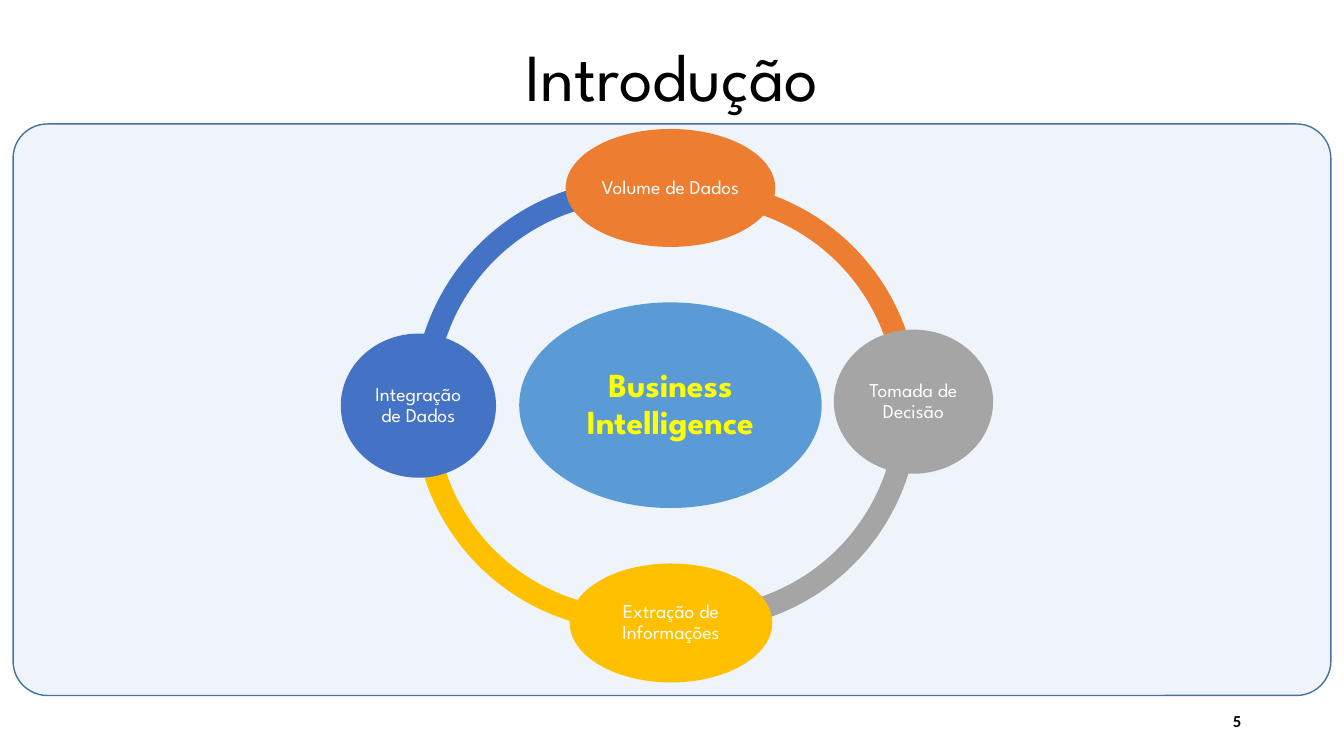
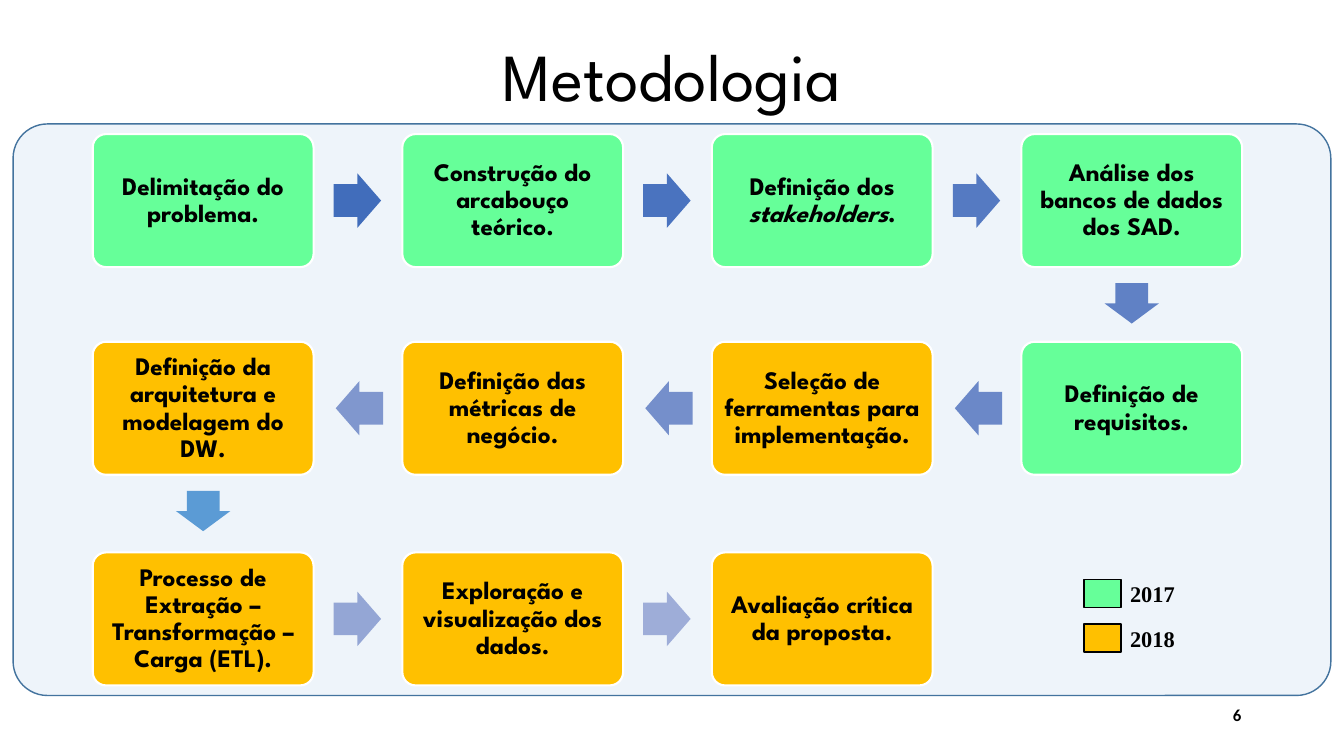
from lxml import etree
from pptx import Presentation
from pptx.dml.color import RGBColor
from pptx.enum.shapes import MSO_SHAPE as SHAPE
from pptx.enum.text import MSO_ANCHOR as ANCHOR, PP_ALIGN as ALIGN
from pptx.oxml.ns import qn
from pptx.util import Inches, Pt

FONT = "League Spartan"
BLACK, WHITE, YELLOW = "000000", "FFFFFF", "FFFF00"
SKY, BLUE, GOLD, GRAY, ORANGE = "5B9BD5", "4472C4", "FFC000", "A5A5A5", "ED7D31"
GREEN = "66FF99"
SLIDE_W, SLIDE_H = 13.33, 7.5

# Ring arcs: left, top, start degree, end degree, colour
ARC_SIZE, ARC_THICKNESS = 4.42, 0.05
ARCS = [
    (4.1, 1.78, 179.31, 279.06, BLUE),
    (4.1, 1.84, 80.94, 180.74, GOLD),
    (4.69, 1.83, 358.65, 96.65, GRAY),
    (4.69, 1.8, 263.36, 359.42, ORANGE),
]
HUB = ("Business Intelligence", (5.15, 3, 3, 2.04), SKY)
TOPICS = [
    ("Volume de Dados", (5.61, 1.28, 2.08, 1.17), ORANGE),
    ("Tomada de Decisão", (8.27, 3.27, 1.58, 1.43), GRAY),
    ("Extração de Informações", (5.65, 5.59, 2.01, 1.18), GOLD),
    ("Integração de Dados", (3.38, 3.31, 1.54, 1.43), BLUE),
]

# Asterisks enclose italic words
STEPS = [
    ("Delimitação do problema.", 2017),
    ("Construção do arcabouço teórico.", 2017),
    ("Definição dos *stakeholders*.", 2017),
    ("Análise dos bancos de dados dos SAD.", 2017),
    ("Definição de requisitos.", 2017),
    ("Seleção de ferramentas para implementação.", 2018),
    ("Definição das métricas de negócio.", 2018),
    ("Definição da arquitetura e modelagem do DW.", 2018),
    ("Processo de Extração – Transformação – Carga (ETL).", 2018),
    ("Exploração e visualização dos dados.", 2018),
    ("Avaliação crítica da proposta.", 2018),
]
ARROW_COLORS = ["416DBB", "4A73BF", "557AC2", "6081C5", "6B88C8",
                "758FCB", "8097CE", SKY, "94A6D5", "9EADD8"]
YEAR_COLORS = {2017: GREEN, 2018: GOLD}
COLUMNS, GRID_LEFT, COLUMN_PITCH = 4, 0.92, 3.07
ROW_TOPS = [1.33, 3.39, 5.48]
STEP_W, STEP_H = 2.19, 1.32
ARROW_W, ARROW_H, DOWN_W = 0.47, 0.54, 0.4


def rgb(color):
    return RGBColor.from_string(color)


def lengths(box):
    return [Inches(v) for v in box]


def add_shape(s, kind, box, fill, line=None, width=1, adjust=()):
    sp = s.shapes.add_shape(kind, *lengths(box))
    sp.shadow.inherit = False
    sp.fill.solid()
    sp.fill.fore_color.rgb = rgb(fill)
    if line:
        sp.line.color.rgb = rgb(line)
        sp.line.width = Pt(width)
    else:
        sp.line.fill.background()
    for i, value in enumerate(adjust):
        sp.adjustments[i] = value
    return sp


def write(sp, text, size, color, bold=False, font=FONT, align=ALIGN.CENTER,
          anchor=ANCHOR.MIDDLE, inset=None, spacing=None):
    """Fill a shape with one paragraph; words between asterisks are italic."""
    tf = sp.text_frame
    tf.word_wrap = True
    tf.vertical_anchor = anchor
    if inset is not None:
        tf.margin_left = tf.margin_right = Inches(inset)
        tf.margin_top = tf.margin_bottom = Inches(inset)
    p = tf.paragraphs[0]
    p.alignment = align
    if spacing:
        p.line_spacing = spacing
    p.font.name, p.font.size, p.font.bold = font, Pt(size), bold
    p.font.color.rgb = rgb(color)
    for i, part in enumerate(text.split("*")):
        r = p.add_run()
        r.text = part
        if i % 2:
            r.font.italic = True


def add_text(s, box, text, size, **style):
    write(s.shapes.add_textbox(*lengths(box)), text, size, BLACK, **style)


def add_slide(prs, title, number, number_top):
    """Add a slide with the shared panel, title and page number."""
    s = prs.slides.add_slide(prs.slide_layouts[6])
    panel = add_shape(s, SHAPE.ROUNDED_RECTANGLE, (0.13, 1.23, 13.07, 5.67),
                      SKY, "43739E", adjust=[0.06])
    color = panel.fill._xPr.find(".//" + qn("a:srgbClr"))
    etree.SubElement(color, qn("a:alpha"), val="10000")
    add_text(s, (0, 0.29, SLIDE_W, 0.91), title, 48, anchor=ANCHOR.TOP)
    add_text(s, (9.41, number_top, 3, 0.4), str(number), 12, bold=True,
             font="Calibri", align=ALIGN.RIGHT)
    return s


def draw_ring(s):
    for left, top, start, end, color in ARCS:
        # Angle adjustments count 0.6 per degree
        add_shape(s, SHAPE.BLOCK_ARC, (left, top, ARC_SIZE, ARC_SIZE), color,
                  adjust=[start * 0.6, end * 0.6, ARC_THICKNESS])
    text, box, color = HUB
    write(add_shape(s, SHAPE.OVAL, box, color), text, 24, YELLOW, bold=True,
          inset=0.03, spacing=0.9)
    for text, box, color in TOPICS:
        write(add_shape(s, SHAPE.OVAL, box, color), text, 14, WHITE,
              inset=0.02, spacing=0.9)


def step_position(i):
    """Left and top of a step; odd rows run from right to left."""
    row, col = divmod(i, COLUMNS)
    if row % 2:
        col = COLUMNS - 1 - col
    return GRID_LEFT + col * COLUMN_PITCH, ROW_TOPS[row]


def draw_steps(s):
    for i, (text, year) in enumerate(STEPS):
        box = (*step_position(i), STEP_W, STEP_H)
        sp = add_shape(s, SHAPE.ROUNDED_RECTANGLE, box, YEAR_COLORS[year],
                       WHITE, 1.5, [0.1])
        write(sp, text, 18, BLACK, bold=True, inset=0.07, spacing=0.9)


def draw_arrows(s):
    for i, color in enumerate(ARROW_COLORS):
        (x, y), (next_x, next_y) = step_position(i), step_position(i + 1)
        width, top = ARROW_W, y + (STEP_H - ARROW_H) / 2
        if next_y > y:
            width, rotation = DOWN_W, 90
            left, top = x + (STEP_W - DOWN_W) / 2, y + 1.41
        elif next_x > x:
            left, rotation = x + STEP_W + 0.2, 0
        else:
            left, rotation = next_x + STEP_W + 0.22, 180
        sp = add_shape(s, SHAPE.RIGHT_ARROW, (left, top, width, ARROW_H),
                       color, adjust=[0.6, 0.5])
        sp.rotation = rotation


def draw_legend(s):
    for i, (year, color) in enumerate(YEAR_COLORS.items()):
        y = 5.75 + i * 0.44
        add_shape(s, SHAPE.RECTANGLE, (10.75, y, 0.37, 0.28), color, BLACK)
        add_text(s, (11.11, y - 0.04, 2.09, 0.37), str(year), 16, bold=True,
                 font="Times New Roman", align=ALIGN.LEFT, anchor=ANCHOR.TOP)


def main():
    prs = Presentation()
    prs.slide_width, prs.slide_height = lengths((SLIDE_W, SLIDE_H))
    draw_ring(add_slide(prs, "Introdução", 5, 6.95))
    s = add_slide(prs, "Metodologia", 6, 6.89)
    draw_steps(s)
    draw_arrows(s)
    draw_legend(s)
    prs.save("out.pptx")


if __name__ == "__main__":
    main()
